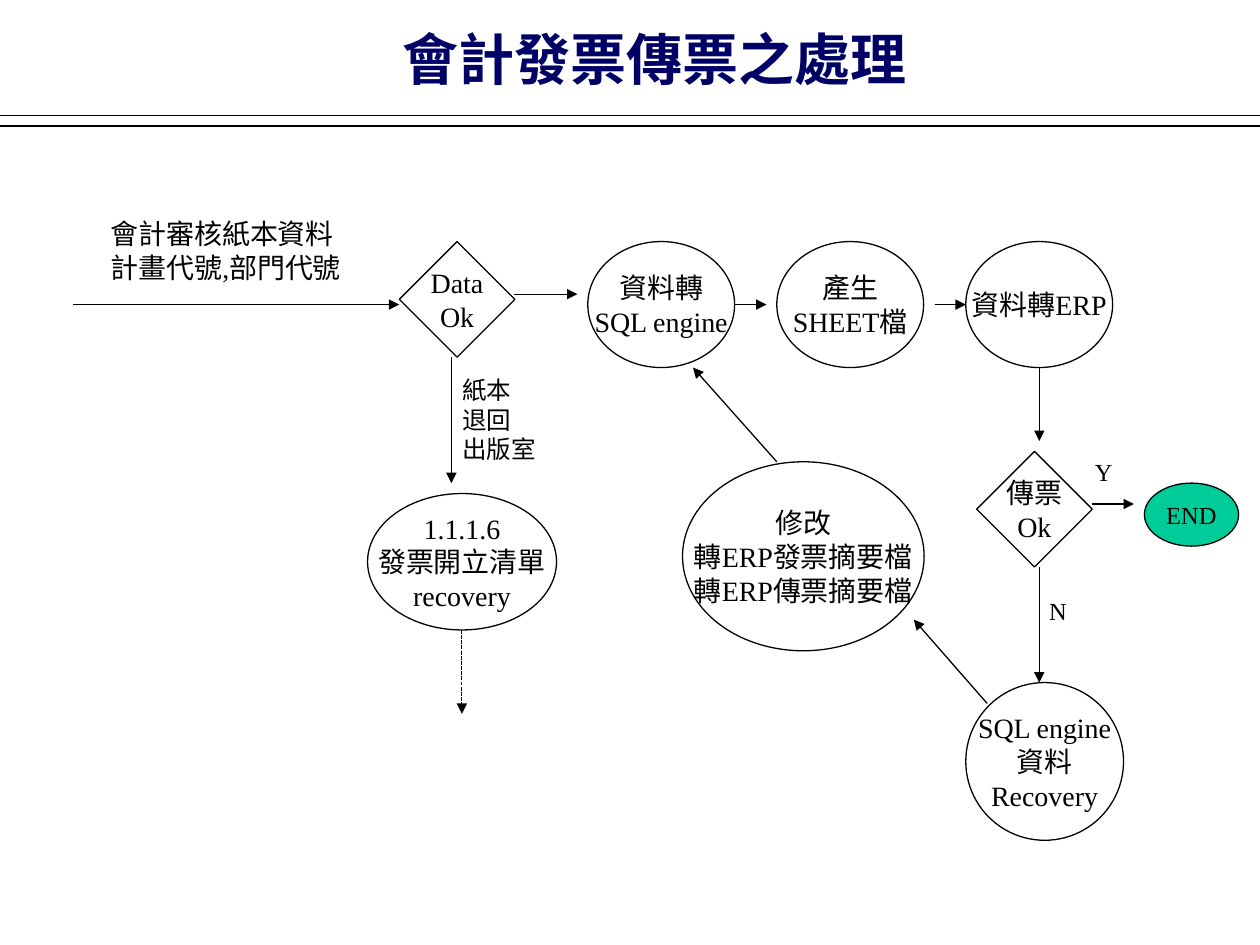
"""Build the accounting invoice and voucher flowchart slide."""
import lxml.etree
import pptx
import pptx.dml.color
import pptx.enum.dml
import pptx.enum.shapes
import pptx.enum.text
import pptx.oxml.ns
import pptx.util

Cm = pptx.util.Cm
Pt = pptx.util.Pt
MSO_SHAPE = pptx.enum.shapes.MSO_SHAPE
PP_ALIGN = pptx.enum.text.PP_ALIGN


def color(hex_text):
    return pptx.dml.color.RGBColor.from_string(hex_text)


def write_text(frame, text, size=16, bold=False, ink="000000", font="Times New Roman",
               align=PP_ALIGN.LEFT, anchor=pptx.enum.text.MSO_ANCHOR.TOP,
               auto_size=pptx.enum.text.MSO_AUTO_SIZE.NONE):
    frame.text = text
    frame.word_wrap = False
    frame.auto_size = auto_size
    frame.vertical_anchor = anchor
    for paragraph in frame.paragraphs:
        paragraph.alignment = align
        for run in paragraph.runs:
            run.font.name = font
            run.font.size = Pt(size)
            run.font.bold = bold
            run.font.color.rgb = color(ink)


class FlowSlide:
    def __init__(self, presentation):
        self.slide = presentation.slides.add_slide(presentation.slide_layouts[5])
        self.ink = "000000"
        self.title_ink = "000066"
        self.line_width = Pt(0.75)

    def title(self, text, left, top, width, height):
        shape = self.slide.shapes.title
        shape.left, shape.top = Cm(left), Cm(top)
        shape.width, shape.height = Cm(width), Cm(height)
        write_text(shape.text_frame, text, size=32, bold=True, ink=self.title_ink)

    def outline(self, line):
        line.color.rgb = color(self.ink)
        line.width = self.line_width

    def node(self, kind, text, left, top, width, height, fill=None, size=16):
        shape = self.slide.shapes.add_shape(kind, Cm(left), Cm(top), Cm(width), Cm(height))
        shape.shadow.inherit = False
        if fill:
            shape.fill.solid()
            shape.fill.fore_color.rgb = color(fill)
        else:
            shape.fill.background()
        self.outline(shape.line)
        write_text(shape.text_frame, text, size=size, ink=self.ink, align=PP_ALIGN.CENTER,
                   anchor=pptx.enum.text.MSO_ANCHOR.MIDDLE)

    def label(self, text, left, top, width, height, size=14):
        shape = self.slide.shapes.add_textbox(Cm(left), Cm(top), Cm(width), Cm(height))
        write_text(shape.text_frame, text, size=size, ink=self.ink,
                   auto_size=pptx.enum.text.MSO_AUTO_SIZE.SHAPE_TO_FIT_TEXT)

    def line(self, start_x, start_y, end_x, end_y, arrow=True, dash=None):
        connector = self.slide.shapes.add_connector(
            pptx.enum.shapes.MSO_CONNECTOR.STRAIGHT,
            Cm(start_x), Cm(start_y), Cm(end_x), Cm(end_y))
        self.outline(connector.line)
        if dash:
            connector.line.dash_style = dash
        qn = pptx.oxml.ns.qn
        properties = connector.element.find(qn("p:spPr"))
        if arrow:
            head = lxml.etree.SubElement(properties.find(qn("a:ln")), qn("a:tailEnd"))
            head.set("type", "triangle")
        lxml.etree.SubElement(properties, qn("a:effectLst"))


def main():
    presentation = pptx.Presentation()
    presentation.slide_width, presentation.slide_height = Cm(25.4), Cm(19.05)
    flow = FlowSlide(presentation)

    flow.title("會計發票傳票之處理", 7.85, 0.36, 11.2, 1.63)
    for rule_y in (2.33, 2.54):
        flow.line(0, rule_y, 25.4, rule_y, arrow=False)

    flow.node(MSO_SHAPE.DIAMOND, "Data\nOk", 8.05, 4.87, 2.33, 2.33)
    flow.node(MSO_SHAPE.DIAMOND, "傳票\nOk", 19.69, 9.1, 2.33, 2.33)
    for index, step in enumerate(("資料轉\nSQL engine", "產生\nSHEET檔", "資料轉ERP")):
        flow.node(MSO_SHAPE.OVAL, step, 11.85 + 3.81 * index, 4.87, 2.96, 2.54)
    flow.node(MSO_SHAPE.OVAL, "SQL engine\n資料\nRecovery", 19.47, 13.76, 3.18, 3.18)
    flow.node(MSO_SHAPE.OVAL, "修改\n轉ERP發票摘要檔\n轉ERP傳票摘要檔", 13.76, 9.31, 4.87, 3.81)
    flow.node(MSO_SHAPE.OVAL, "1.1.1.6\n發票開立清單\nrecovery", 7.41, 9.95, 3.81, 2.75)
    flow.node(MSO_SHAPE.OVAL, "END", 23.07, 9.74, 1.9, 1.27, fill="00CC99", size=14)

    flow.label("會計審核紙本資料\n計畫代號,部門代號", 1.98, 4.24, 5.8, 1.63, size=16)
    flow.label("紙本\n退回\n出版室", 9.07, 7.44, 2.3, 2.03)
    flow.label("Y", 21.82, 9.09, 0.9, 0.86)
    flow.label("N", 20.9, 11.89, 0.9, 1.45)

    arrows = (
        (1.48, 6.14, 8.05, 6.14),
        (10.37, 5.93, 11.64, 5.93),
        (14.82, 6.14, 15.45, 6.14),
        (18.84, 6.14, 19.47, 6.14),
        (20.95, 7.41, 20.95, 8.89),
        (20.95, 11.43, 20.95, 13.76),
        (22.01, 10.16, 22.86, 10.16),
        (19.9, 14.18, 18.42, 12.49),
        (15.66, 9.31, 13.97, 7.41),
        (9.1, 7.2, 9.1, 9.74),
    )
    for arrow in arrows:
        flow.line(*arrow)
    flow.line(9.31, 12.7, 9.31, 14.39, dash=pptx.enum.dml.MSO_LINE.SQUARE_DOT)

    presentation.save("out.pptx")


if __name__ == "__main__":
    main()
